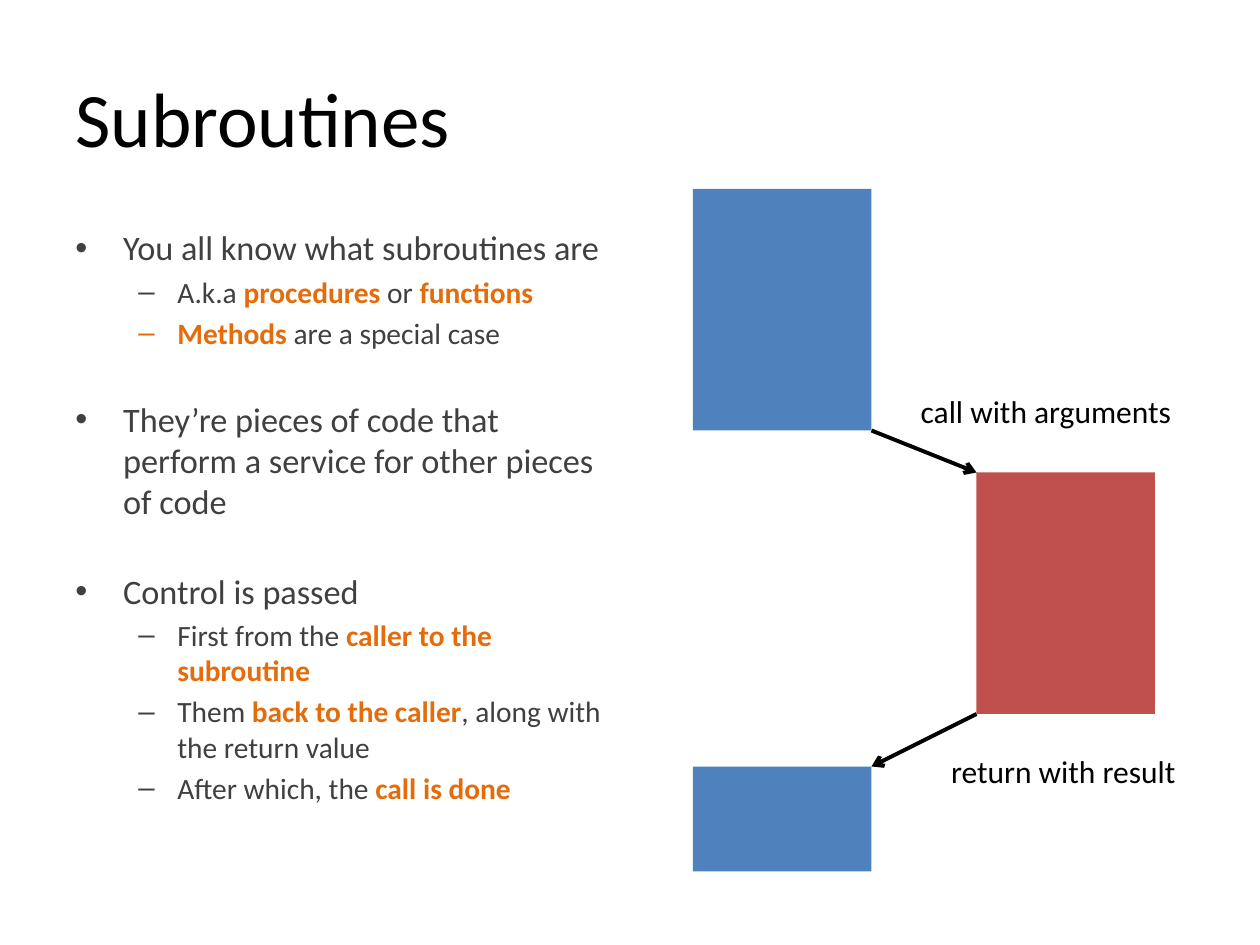
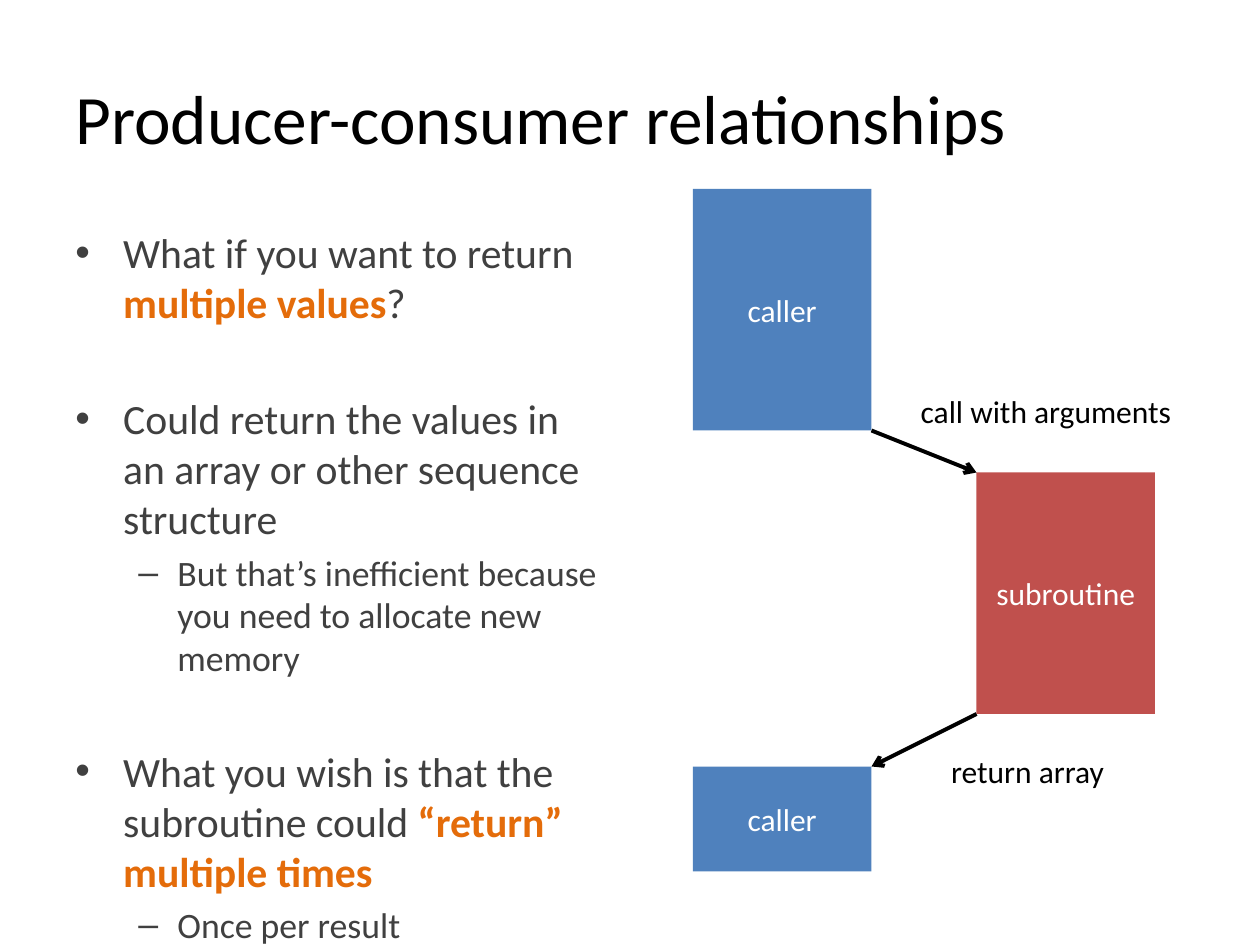
from dataclasses import dataclass

from lxml.etree import SubElement
from pptx import Presentation
from pptx.dml.color import RGBColor
from pptx.enum.shapes import MSO_CONNECTOR, MSO_SHAPE
from pptx.enum.text import MSO_ANCHOR, PP_ALIGN
from pptx.oxml.ns import qn
from pptx.util import Inches, Pt


@dataclass(frozen=True)
class Theme:
    font: str = "Calibri"
    ink: RGBColor = RGBColor(0, 0, 0)
    body: RGBColor = RGBColor(0x40, 0x40, 0x40)
    accent: RGBColor = RGBColor(0xE4, 0x6C, 0x0A)
    caller: RGBColor = RGBColor(0x4F, 0x81, 0xBD)
    subroutine: RGBColor = RGBColor(0xC0, 0x50, 0x4D)
    box_text: RGBColor = RGBColor(0xFF, 0xFF, 0xFF)
    label_size: float = 18
    line_width: float = 2.25


@dataclass(frozen=True)
class BodyStyle:
    sizes: tuple
    group_gap: float


THEME = Theme()
UNITS_PER_INCH = 12
BULLETS = (("•", 0.38, 0.38), ("–", 0.81, 0.31))
BOX_WIDTH = 17
CALLER_LEFT, SUBROUTINE_LEFT = 66, 93
CALLER_TOP, SUBROUTINE_TOP, RETURN_TOP = 18, 45, 73
TALL, SHORT = 23, 10


def grid(*units):
    return [Inches(unit / UNITS_PER_INCH) for unit in units]


def style(paragraph, size, color):
    paragraph.font.name = THEME.font
    paragraph.font.size = Pt(size)
    paragraph.font.color.rgb = color


def add_text(slide, area, text, size, wrap=True, anchor=MSO_ANCHOR.TOP):
    frame = slide.shapes.add_textbox(*grid(*area)).text_frame
    frame.word_wrap = wrap
    frame.vertical_anchor = anchor
    frame.text = text
    style(frame.paragraphs[0], size, THEME.ink)


def add_title(slide, text, size):
    add_text(slide, (6, 3.6, 108, 15), text, size, anchor=MSO_ANCHOR.MIDDLE)


def add_bullet(paragraph, text, level, size, space_before):
    character, margin, hanging = BULLETS[level]
    properties = paragraph._p.get_or_add_pPr()
    properties.set("marL", str(Inches(margin)))
    properties.set("indent", str(-Inches(hanging)))
    SubElement(properties, qn("a:buFont"), typeface="Arial")
    SubElement(properties, qn("a:buChar"), char=character)
    paragraph.level = level
    paragraph.space_before = Pt(space_before)
    style(paragraph, size, THEME.body)
    for index, part in enumerate(text.split("*")):
        if part:
            run = paragraph.add_run()
            run.text = part
            if index % 2:
                run.font.bold = True
                run.font.color.rgb = THEME.accent


def add_body(slide, groups, body_style):
    frame = slide.shapes.add_textbox(*grid(6, 21, 53, 59.4)).text_frame
    frame.word_wrap = True
    for group_index, group in enumerate(groups):
        for index, text in enumerate(group):
            level = min(index, 1)
            size = body_style.sizes[level]
            if index:
                space_before = size * 0.2
            else:
                space_before = body_style.group_gap if group_index else 0
            first = group_index == index == 0
            paragraph = frame.paragraphs[0] if first else frame.add_paragraph()
            add_bullet(paragraph, text, level, size, space_before)


def add_box(slide, left, top, height, color, text):
    box = slide.shapes.add_shape(MSO_SHAPE.RECTANGLE, *grid(left, top, BOX_WIDTH, height))
    box.shadow.inherit = False
    box.fill.solid()
    box.fill.fore_color.rgb = color
    box.line.fill.background()
    if text:
        frame = box.text_frame
        frame.vertical_anchor = MSO_ANCHOR.MIDDLE
        frame.text = text
        frame.paragraphs[0].alignment = PP_ALIGN.CENTER
        style(frame.paragraphs[0], THEME.label_size, THEME.box_text)


def add_arrow(slide, start, end):
    arrow = slide.shapes.add_connector(MSO_CONNECTOR.STRAIGHT, *grid(*start, *end))
    arrow.line.color.rgb = THEME.ink
    arrow.line.width = Pt(THEME.line_width)
    SubElement(arrow.line._get_or_add_ln(), qn("a:tailEnd"), type="arrow")
    SubElement(arrow._element.spPr, qn("a:effectLst"))


def add_call_diagram(slide, return_label, return_width, caller="", subroutine=""):
    caller_right = CALLER_LEFT + BOX_WIDTH
    add_box(slide, CALLER_LEFT, CALLER_TOP, TALL, THEME.caller, caller)
    add_box(slide, SUBROUTINE_LEFT, SUBROUTINE_TOP, TALL, THEME.subroutine, subroutine)
    add_box(slide, CALLER_LEFT, RETURN_TOP, SHORT, THEME.caller, caller)
    add_arrow(slide, (caller_right, CALLER_TOP + TALL), (SUBROUTINE_LEFT, SUBROUTINE_TOP))
    add_arrow(slide, (SUBROUTINE_LEFT, SUBROUTINE_TOP + TALL), (caller_right, RETURN_TOP))
    add_text(slide, (86.5, 36.75, 26.5, 4.8), "call with arguments", THEME.label_size, wrap=False)
    add_text(slide, (89.4, 71, return_width, 4.8), return_label, THEME.label_size, wrap=False)


def add_slide(presentation, title, title_size, groups, body_style):
    slide = presentation.slides.add_slide(presentation.slide_layouts[6])
    add_title(slide, title, title_size)
    add_body(slide, groups, body_style)
    return slide


def main():
    presentation = Presentation()
    presentation.slide_width, presentation.slide_height = Inches(10), Inches(7.5)

    subroutines = add_slide(presentation, "Subroutines", 44, [
        ["You all know what subroutines are",
         "A.k.a *procedures* or *functions*",
         "*Methods* are a special case"],
        ["They’re pieces of code that perform a service for other pieces of code"],
        ["Control is passed",
         "First from the *caller to the subroutine*",
         "Them *back to the caller*, along with the return value",
         "After which, the *call is done*"],
    ], BodyStyle((19.6, 16.8), 27.5))
    add_call_diagram(subroutines, "return with result", 24)

    producers = add_slide(presentation, "Producer-consumer relationships", 39.6, [
        ["What if you want to return *multiple values*?"],
        ["Could return the values in an array or other sequence structure",
         "But that’s inefficient because you need to allocate new memory"],
        ["What you wish is that the subroutine could *“return” multiple times*",
         "Once per result"],
    ], BodyStyle((23.8, 20.4), 38))
    add_call_diagram(producers, "return array", 17.2, "caller", "subroutine")

    presentation.save("out.pptx")


if __name__ == "__main__":
    main()
